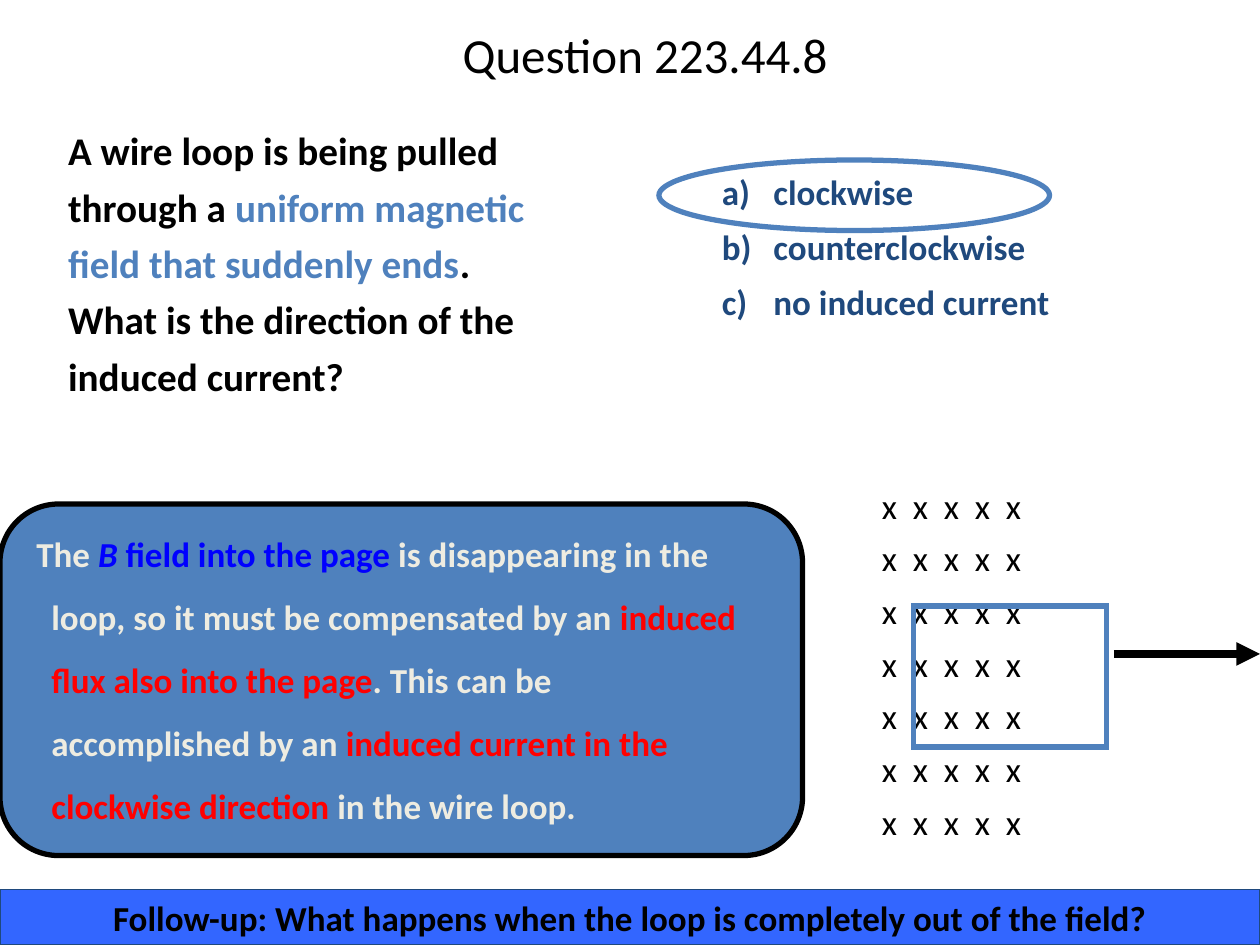
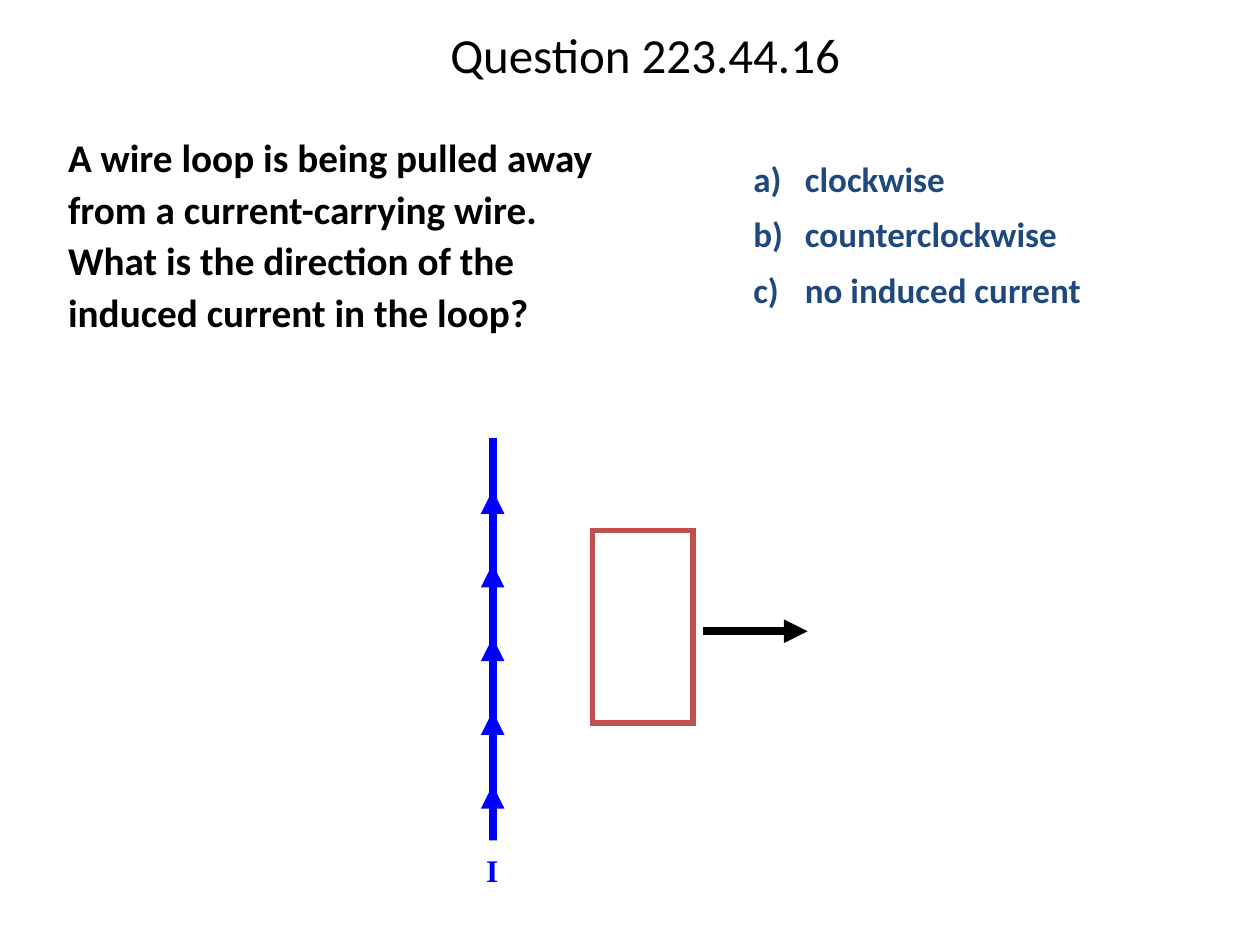
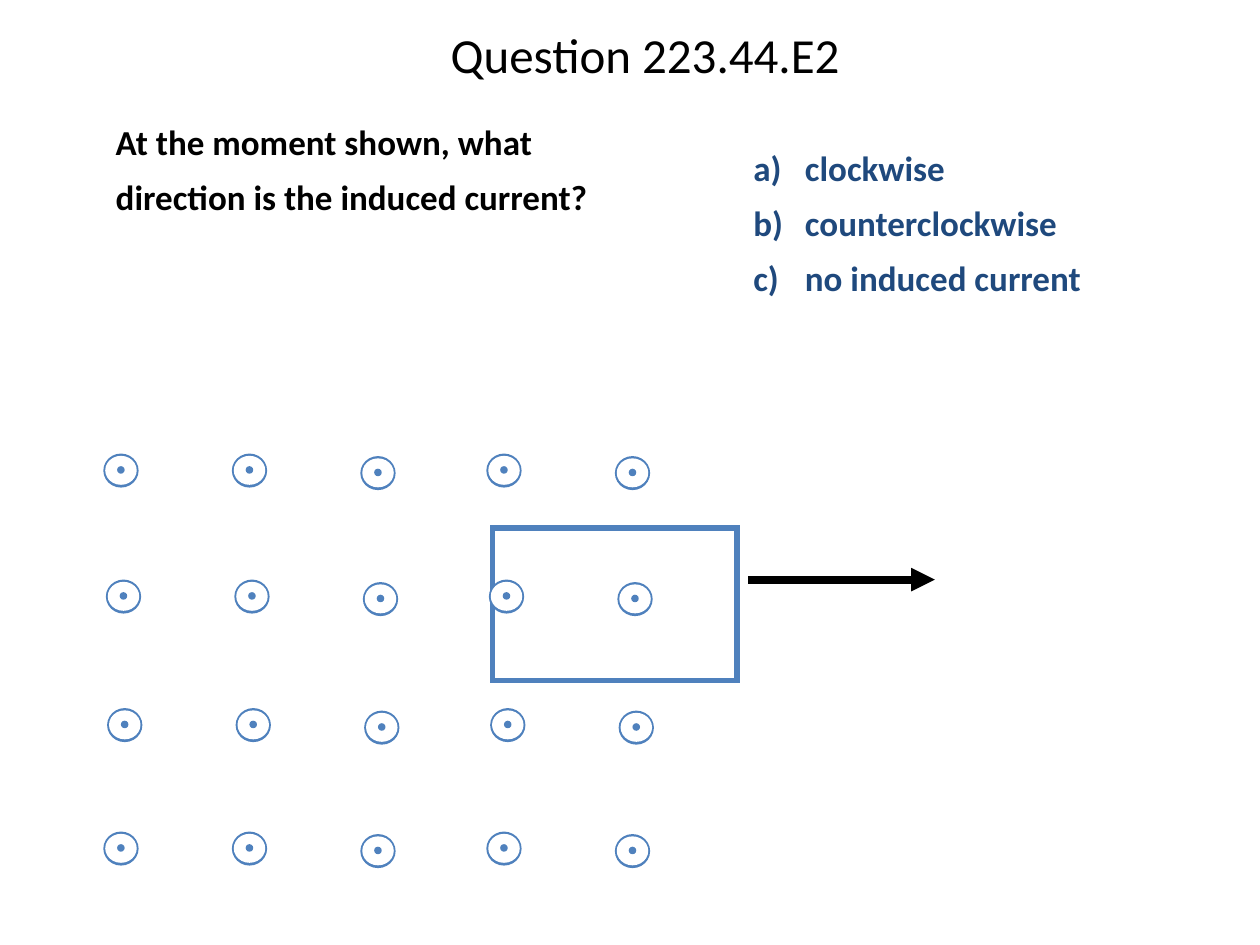
import dataclasses

import lxml.etree
import pptx
import pptx.dml.color
import pptx.enum.shapes
import pptx.enum.text
import pptx.oxml.ns
import pptx.util

Inches = pptx.util.Inches
ShapeType = pptx.enum.shapes.MSO_SHAPE
Anchor = pptx.enum.text.MSO_ANCHOR
Align = pptx.enum.text.PP_ALIGN


@dataclasses.dataclass(frozen=True)
class Theme:
    font: str = "Calibri"
    label_font: str = "Times New Roman"
    black: str = "000000"
    white: str = "FFFFFF"
    navy: str = "1F497D"
    accent: str = "4F81BD"
    cream: str = "EEECE1"
    blue: str = "0000FF"
    red: str = "FF0000"
    brick: str = "C0504D"
    bar: str = "3366FF"
    title_size: float = 28
    question_size: float = 22.4
    text_size: float = 20
    label_size: float = 18
    field_tracking: float = 2.26
    hairline: float = 0.75
    outline: float = 3
    arrow: float = 4.5


THEME = Theme()
TITLE_BOX = (0.72, 0, 8.8, 0.92)
ANSWERS = ("a)\tclockwise", "b)\tcounterclockwise", "c)\tno induced current")


# Shared helpers
def color(value):
    return pptx.dml.color.RGBColor.from_string(value)


def inches(box):
    return [Inches(length) for length in box]


def add_child(parent, tag, **attributes):
    child = lxml.etree.SubElement(parent, pptx.oxml.ns.qn(tag))
    for name, value in attributes.items():
        child.set(name, str(value))
    return child


def set_frame(shape, anchor=Anchor.TOP, wrap=True):
    frame = shape.text_frame
    frame.auto_size = pptx.enum.text.MSO_AUTO_SIZE.NONE
    frame.vertical_anchor = anchor
    frame.word_wrap = wrap
    return frame


def format_paragraph(paragraph, line=1.0, before=0, margin=0, indent=0, align=Align.LEFT):
    properties = paragraph._p.get_or_add_pPr()
    properties.set("marL", str(Inches(margin)))
    properties.set("indent", str(Inches(indent)))
    add_child(properties, "a:buNone")
    paragraph.line_spacing = line
    paragraph.space_before = pptx.util.Pt(before)
    paragraph.alignment = align


def add_run(paragraph, text, size=THEME.text_size, value=THEME.black,
            bold=True, italic=False, font=THEME.font, tracking=0):
    run = paragraph.add_run()
    run.text = text
    run.font.name = font
    run.font.size = pptx.util.Pt(size)
    run.font.bold = bold
    run.font.italic = italic
    run.font.color.rgb = color(value)
    if tracking:
        run._r.get_or_add_rPr().set("spc", str(round(tracking * 100)))


def add_lines(frame, lines, before, value=THEME.black, bold=True, tracking=0, **layout):
    for index, text in enumerate(lines):
        paragraph = frame.add_paragraph() if index else frame.paragraphs[0]
        format_paragraph(paragraph, before=before if index else 0, **layout)
        add_run(paragraph, text, value=value, bold=bold, tracking=tracking)


def add_box(shapes, kind, box, fill=None, line=None, width=THEME.outline):
    shape = shapes.add_shape(kind, *inches(box))
    shape.shadow.inherit = False
    if fill:
        shape.fill.solid()
        shape.fill.fore_color.rgb = color(fill)
    else:
        shape.fill.background()
    if line:
        shape.line.color.rgb = color(line)
        shape.line.width = pptx.util.Pt(width)
        add_child(shape.line._get_or_add_ln(), "a:miter", lim=800000)
    else:
        shape.line.fill.background()
    return shape


def add_line(shapes, start, end, value=THEME.black, arrow=True):
    connector = shapes.add_connector(
        pptx.enum.shapes.MSO_CONNECTOR.STRAIGHT, *inches(start + end))
    connector.line.color.rgb = color(value)
    connector.line.width = pptx.util.Pt(THEME.arrow)
    if arrow:
        add_child(connector.line._get_or_add_ln(), "a:tailEnd", type="triangle")
    add_child(connector._element.spPr, "a:effectLst")


def place(shape, box):
    shape.left, shape.top, shape.width, shape.height = inches(box)


# Regions
def add_question_slide(presentation, title, layout):
    slide = presentation.slides.add_slide(presentation.slide_layouts[layout])
    place(slide.shapes.title, TITLE_BOX)
    frame = set_frame(slide.shapes.title, Anchor.MIDDLE)
    format_paragraph(frame.paragraphs[0], line=0.9, align=Align.CENTER)
    add_run(frame.paragraphs[0], title, THEME.title_size, bold=False)
    return slide


def add_question(shape, box, runs, line, size=THEME.question_size):
    place(shape, box)
    paragraph = set_frame(shape).paragraphs[0]
    format_paragraph(paragraph, line=line, margin=0.44)
    for text, value in runs:
        add_run(paragraph, text, size, value)


def add_answers(slide, box):
    frame = set_frame(slide.shapes.add_textbox(*inches(box)))
    add_lines(frame, ANSWERS, 10, THEME.navy, line=0.9, margin=0.41, indent=-0.41)


def add_explanation(slide, box):
    left, top, width, height = box
    add_box(slide.shapes, ShapeType.ROUNDED_RECTANGLE, box, THEME.accent, THEME.black)
    text_box = slide.shapes.add_textbox(*inches((left, top + 0.01, width - 0.37, height - 0.19)))
    paragraph = set_frame(text_box).paragraphs[0]
    format_paragraph(paragraph, line=1.5, margin=0.31, indent=-0.12)
    for text, value, italic in (
            ("The ", THEME.cream, False),
            ("B", THEME.blue, True),
            (" field into the page", THEME.blue, False),
            (" is disappearing in the loop, so it must be compensated by an ", THEME.cream, False),
            ("induced flux also into the page", THEME.red, False),
            (". This can be accomplished by an ", THEME.cream, False),
            ("induced current in the clockwise direction", THEME.red, False),
            (" in the wire loop.", THEME.cream, False)):
        add_run(paragraph, text, value=value, italic=italic)


def add_field_into_page(slide, box, rows=7, columns=5):
    left, top, width, height = box
    shapes = slide.shapes.add_group_shape().shapes
    field = shapes.add_textbox(*inches((left, top, 1.57, height)))
    frame = set_frame(field)
    frame.margin_left = frame.margin_right = Inches(0.11)
    frame.margin_top = frame.margin_bottom = Inches(0.04)
    add_lines(frame, [" ".join("x" * columns)] * rows, 8.5, bold=False,
              tracking=THEME.field_tracking, line=0.9)
    # Loop and its pull
    arrow_y = top + 1.35
    add_line(shapes, (left + 1.95, arrow_y), (left + width, arrow_y))
    add_box(shapes, ShapeType.RECTANGLE, (left + 0.36, top + 0.97, 1.53, 1.12), line=THEME.accent)


def add_follow_up(slide, box, text):
    bar = add_box(slide.shapes, ShapeType.RECTANGLE, box, THEME.bar, THEME.navy, THEME.hairline)
    frame = set_frame(bar, Anchor.MIDDLE)
    add_lines(frame, [text], 0, align=Align.CENTER)


def add_wire_and_loop(slide, box, arrows=5):
    left, top, width, height = box
    shapes = slide.shapes.add_group_shape().shapes
    wire_x, wire_end, segment = left + 0.15, top + 3.42, 0.67
    # Current-carrying wire
    for index in range(arrows):
        start = wire_end - 0.585 * index
        add_line(shapes, (wire_x, start), (wire_x, start - segment), THEME.blue)
    add_line(shapes, (wire_x, top + segment), (wire_x, top), THEME.blue, arrow=False)
    label = add_box(shapes, ShapeType.RECTANGLE, (left, top + height - 0.54, 0.33, 0.54), THEME.white)
    paragraph = set_frame(label, wrap=False).paragraphs[0]
    format_paragraph(paragraph, line=1.11)
    add_run(paragraph, "I", THEME.label_size, THEME.blue, font=THEME.label_font)
    # Loop and its pull
    add_box(shapes, ShapeType.RECTANGLE, (left + 0.94, top + 0.73, 0.8, 1.53), THEME.white, THEME.brick)
    arrow_y = top + 1.53
    add_line(shapes, (left + 1.82, arrow_y), (left + width, arrow_y))


def add_moving_loop(slide, box):
    left, top, width, height = box
    shapes = slide.shapes.add_group_shape().shapes
    arrow_y = top + 0.41
    add_line(shapes, (left + 2.03, arrow_y), (left + width, arrow_y))
    add_box(shapes, ShapeType.RECTANGLE, (left, top, 1.94, height), line=THEME.accent)


def add_field_point(slide, left, top):
    shapes = slide.shapes.add_group_shape().shapes
    for offset_x, offset_y, width, height, fill in (
            (0, 0, 0.28, 0.27, THEME.accent),
            (0.015, 0.018, 0.25, 0.23, THEME.white),
            (0.11, 0.1, 0.06, 0.06, THEME.accent)):
        add_box(shapes, ShapeType.OVAL, (left + offset_x, top + offset_y, width, height), fill)


def add_field_out_of_page(slide, left, top):
    row_steps = ((0, 0), (0.02, 1), (0.03, 2.02), (0, 3))
    column_steps = ((0, 0), (1.02, 0), (2.04, 0.02), (3.04, 0), (4.06, 0.02))
    for column_x, column_y in column_steps:
        for row_x, row_y in row_steps:
            add_field_point(slide, left + column_x + row_x, top + column_y + row_y)


# Slides
def build_field_end(presentation):
    slide = add_question_slide(presentation, "Question 223.44.8", 1)
    add_answers(slide, (5.63, 1.34, 4.12, 1.34))
    add_question(slide.placeholders[1], (0, 0.88, 4.48, 2.63), (
        ("A wire loop is being pulled through a ", THEME.black),
        ("uniform magnetic field that suddenly ends", THEME.accent),
        (". What is the direction of the induced current?", THEME.black)), 1.2)
    add_explanation(slide, (0, 4, 6.37, 2.79))
    add_field_into_page(slide, (6.89, 3.84, 3.11, 3.09))
    add_box(slide.shapes, ShapeType.OVAL, (5.23, 1.27, 3.1, 0.56), line=THEME.accent)
    add_follow_up(slide, (0, 7.06, 10, 0.44),
                  "Follow-up: What happens when the loop is completely out of the field?")


def build_current_wire(presentation):
    slide = add_question_slide(presentation, "Question 223.44.16", 1)
    text = ("A wire loop is being pulled away from a current-carrying wire. "
            "What is the direction of the induced current in the loop?")
    add_question(slide.placeholders[1], (0, 0.97, 5.07, 1.89), [(text, THEME.black)], 1.1)
    add_wire_and_loop(slide, (3.76, 3.48, 2.65, 3.73))
    add_answers(slide, (5.88, 1.24, 4.12, 1.34))


def build_leaving_field(presentation):
    slide = add_question_slide(presentation, "Question 223.44.E2", 5)
    add_answers(slide, (5.88, 1.15, 4.12, 1.8))
    box = (0.38, 0.81, 4.62, 2.11)
    text = "At the moment shown, what direction is the induced current?"
    add_question(slide.shapes.add_textbox(*inches(box)), box,
                 [(text, THEME.black)], 1.3, THEME.text_size)
    add_moving_loop(slide, (3.91, 4.19, 3.51, 1.21))
    add_field_out_of_page(slide, 0.82, 3.6)


def main():
    presentation = pptx.Presentation()
    presentation.slide_width = Inches(10)
    presentation.slide_height = Inches(7.5)
    for build in (build_field_end, build_current_wire, build_leaving_field):
        build(presentation)
    presentation.save("out.pptx")


if __name__ == "__main__":
    main()
